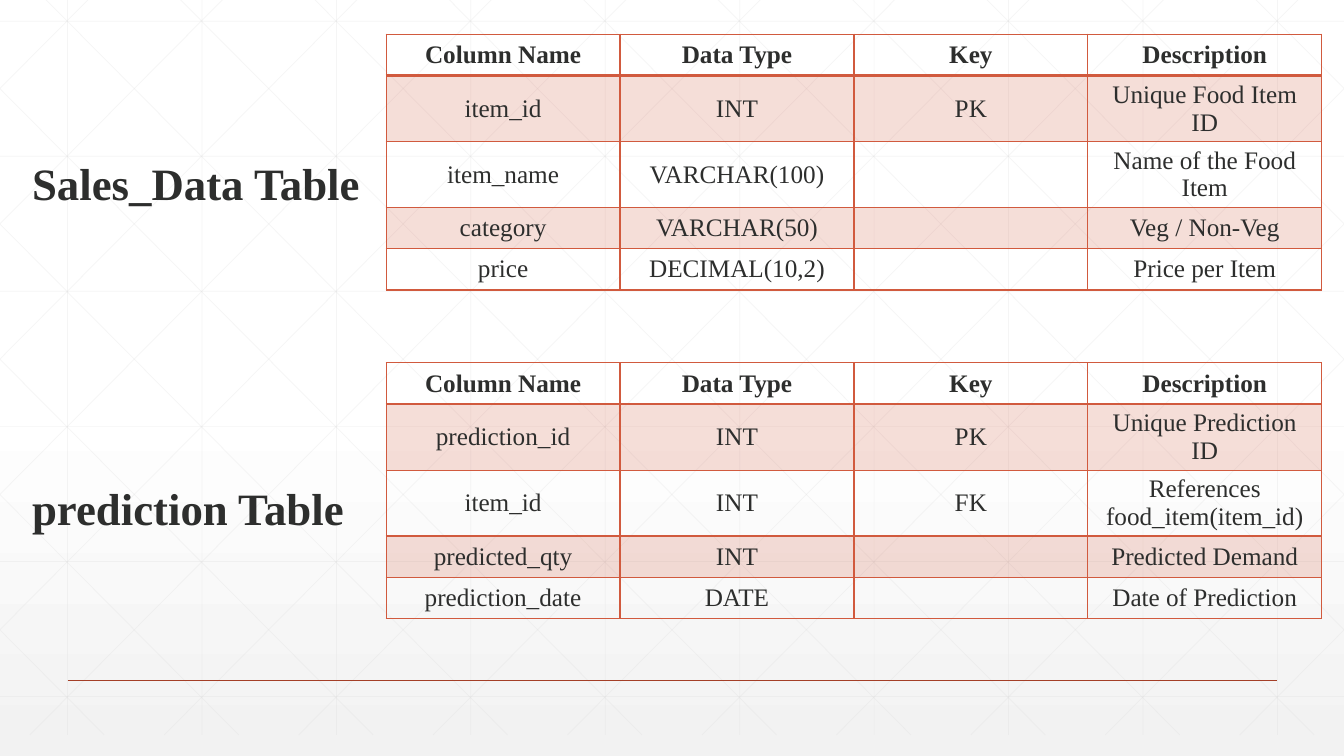
from copy import deepcopy

from lxml import etree
from pptx import Presentation, util as u
from pptx.dml import color
from pptx.enum import shapes, text
from pptx.oxml import ns

WIDTH, HEIGHT = 13.33, 7.5
INK, ACCENT, RULE, GRID = "2D2E2D", "D15A3E", "A43F27", "D9D9D9"
HEADERS = ["Column Name", "Data Type", "Key", "Description"]
SALES_ROWS = [
    ["item_id", "INT", "PK", "Unique Food Item ID"],
    ["item_name", "VARCHAR(100)", "", "Name of the Food Item"],
    ["category", "VARCHAR(50)", "", "Veg / Non-Veg"],
    ["price", "DECIMAL(10,2)", "", "Price per Item"],
]
PREDICTION_ROWS = [
    ["prediction_id", "INT", "PK", "Unique Prediction ID"],
    ["item_id", "INT", "FK", "References food_item(item_id)"],
    ["predicted_qty", "INT", "", "Predicted Demand"],
    ["prediction_date", "DATE", "", "Date of Prediction"],
]


def rgb(value):
    return color.RGBColor.from_string(value)


def add_child(parent, tag, **attributes):
    return etree.SubElement(parent, ns.qn(tag), attributes)


def set_alpha(element, percent):
    for fill_color in element.iter(ns.qn("a:srgbClr")):
        add_child(fill_color, "a:alpha", val=str(percent * 1000))


def write(frame, content, size=18, bold=False, align=text.PP_ALIGN.LEFT):
    para = frame.paragraphs[0]
    para.alignment = align
    span = para.add_run()
    span.text = content
    span.font.name, span.font.size, span.font.bold = "Times New Roman", u.Pt(size), bold
    span.font.color.rgb = rgb(INK)


class SlideBuilder:
    def __init__(self, deck):
        self.page = deck.slides.add_slide(deck.slide_layouts[6])

    def background(self, top, bottom, hold):
        fill = self.page.background.fill
        fill.gradient()
        fill.gradient_angle = 270
        for stop, tone in zip(fill.gradient_stops, (top, bottom)):
            stop.color.rgb = rgb(tone)
        # A third stop keeps the upper part plain
        first = self.page.background._cSld.find(".//" + ns.qn("a:gs"))
        middle = deepcopy(first)
        middle.set("pos", str(hold * 1000))
        first.addnext(middle)

    def line(self, x1, y1, x2, y2, tone=GRID, width=0.5, opacity=25):
        line = self.page.shapes.add_connector(
            shapes.MSO_CONNECTOR.STRAIGHT, *map(u.Inches, (x1, y1, x2, y2)))
        line.line.color.rgb = rgb(tone)
        line.line.width = u.Pt(width)
        if opacity < 100:
            set_alpha(line.line._ln, opacity)
        add_child(line._element.spPr, "a:effectLst")

    def label(self, content, left, top, width, height):
        box = self.page.shapes.add_textbox(*map(u.Inches, (left, top, width, height)))
        box.text_frame.word_wrap = True
        box.text_frame.auto_size = text.MSO_AUTO_SIZE.SHAPE_TO_FIT_TEXT
        write(box.text_frame, content, size=32, bold=True)

    def table(self, rows, left, top, column_width=2.32, heights=(0.41, 0.65, 0.65, 0.41, 0.41)):
        grid = [HEADERS] + rows
        table = self.page.shapes.add_table(
            len(grid), len(HEADERS), u.Inches(left), u.Inches(top),
            u.Inches(column_width * len(HEADERS)), u.Inches(sum(heights))).table
        table.first_row = table.horz_banding = False
        for column in table.columns:
            column.width = u.Inches(column_width)
        for r, (values, height) in enumerate(zip(grid, heights)):
            table.rows[r].height = u.Inches(height)
            for c, value in enumerate(values):
                self.cell(table.cell(r, c), value, r)

    def cell(self, cell, value, row):
        cell.vertical_anchor = text.MSO_ANCHOR.MIDDLE
        if value:
            write(cell.text_frame, value, bold=row == 0, align=text.PP_ALIGN.CENTER)
        properties = cell._tc.get_or_add_tcPr()
        for side in "LRTB":
            # The line under the header is twice as thick
            thick = (row == 0 and side == "B") or (row == 1 and side == "T")
            border = add_child(properties, f"a:ln{side}", w=str(u.Pt(2 if thick else 1)))
            add_child(add_child(border, "a:solidFill"), "a:srgbClr", val=ACCENT)
        if row % 2:
            cell.fill.solid()
            cell.fill.fore_color.rgb = rgb(ACCENT)
            set_alpha(properties.find(ns.qn("a:solidFill")), 20)
        else:
            cell.fill.background()

    def lattice(self, top=-0.21, bottom=7.29, step=4 / 3, run=7.45):
        for i in range(10):
            x = 0.67 + i * step
            self.line(x, top, x, bottom)
        for i in range(6):
            y = 0.21 + i * 1.34
            self.line(0, y, WIDTH, y)
        # Diagonals cut off at the slide sides, each with its mirror line
        for i in range(-5, 10):
            start = 0.25 + i * step
            x1, x2 = max(0, start), min(WIDTH, start + run)
            y1, y2 = (top + (x - start) * (bottom - top) / run for x in (x1, x2))
            self.line(x1, y1, x2, y2)
            self.line(WIDTH - x1, y1, WIDTH - x2, y2)


def main():
    deck = Presentation()
    deck.slide_width, deck.slide_height = u.Inches(WIDTH), u.Inches(HEIGHT)
    slide = SlideBuilder(deck)

    # Backdrop
    slide.background("FFFFFF", "F2F2F2", hold=53)
    slide.lattice()
    slide.line(0.67, 6.75, 12.67, 6.75, tone=RULE, width=1, opacity=100)

    # Tables
    slide.table(SALES_ROWS, 3.83, 0.34)
    slide.table(PREDICTION_ROWS, 3.83, 3.6)

    # Table titles
    slide.label("Sales_Data Table", 0.22, 1.5, 6.67, 0.64)
    slide.label("prediction Table", 0.22, 4.72, 6.67, 0.64)

    deck.save("out.pptx")


if __name__ == "__main__":
    main()
